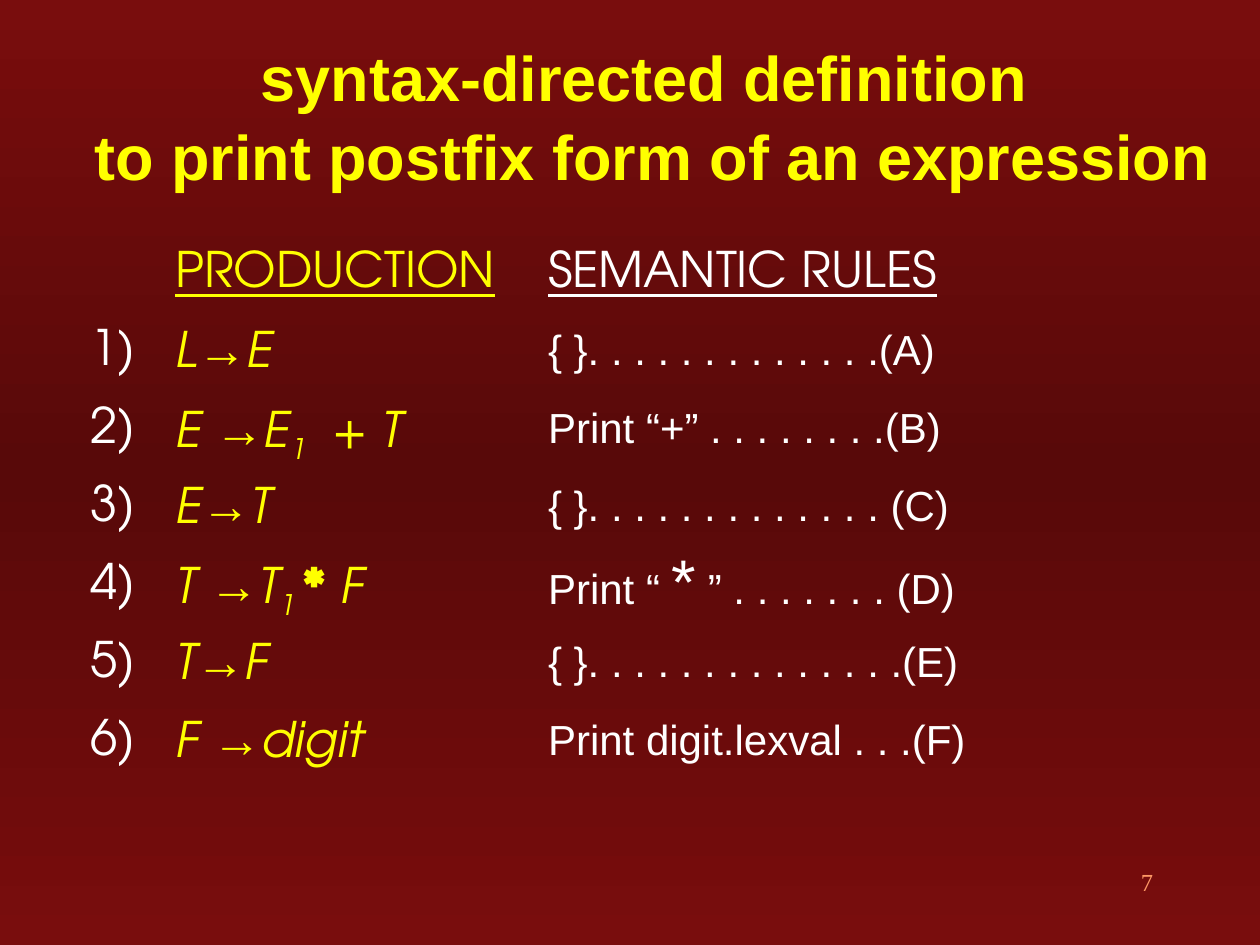
import copy
import lxml.etree
import pptx
import pptx.util
import pptx.dml.color
import pptx.enum.text
import pptx.oxml.ns

Pt = pptx.util.Pt
RGBColor = pptx.dml.color.RGBColor
ALIGN = pptx.enum.text.PP_ALIGN
ANCHOR = pptx.enum.text.MSO_ANCHOR
qn = pptx.oxml.ns.qn

YELLOW = RGBColor(0xFF, 0xFF, 0x00)
WHITE = RGBColor(0xFF, 0xFF, 0xFF)
ORANGE = RGBColor(0xFF, 0x99, 0x66)
RED = RGBColor(0x79, 0x0D, 0x0D)
DARK_RED = RGBColor(0x58, 0x09, 0x09)
SHADOW = "CCCCCC"
DISPLAY, BODY, SERIF = "TeX Gyre Adventor", "Arial", "Times New Roman"
NO_GRID_STYLE = "{2D5ABB26-0587-4C30-8999-92F81FD0307C}"

TITLE_LINES = ["syntax-directed deﬁnition ", "to print postfix form of an expression"]
HEADINGS = [("PRODUCTION", YELLOW), ("SEMANTIC RULES", WHITE)]
PLAIN, SUB, BOLD = {}, {"baseline": -25000}, {"bold": True}
LARGE = {"size": 36}
RULES = [
    ("L", [("E", PLAIN)], [("{ }. . . . . . . . . . . . .(A)", PLAIN)]),
    ("E ", [("E", PLAIN), ("1", SUB), ("  + T", PLAIN)],
     [("Print “+” . . . . . . . .(B)", PLAIN)]),
    ("E", [("T", PLAIN)], [("{ }. . . . . . . . . . . . . (C)", PLAIN)]),
    ("T ", [("T", PLAIN), ("1 ", SUB), ("* ", BOLD), ("F", PLAIN)],
     [("Print “ ", PLAIN), ("*", LARGE), (" ” . . . . . . . (D)", PLAIN)]),
    ("T", [("F", PLAIN)], [("{ }. . . . . . . . . . . . . .(E)", PLAIN)]),
    ("F ", [("digit", PLAIN)], [("Print digit.lexval . . .(F)", PLAIN)]),
]
COLUMN_WIDTHS = [48.24, 213.12, 410.4]
ROW_HEIGHT = 44.57
PAGE_NUMBER = "7"


def add_run(paragraph, text, size, face, color, baseline=None, **flags):
    run = paragraph.add_run()
    run.text = text
    run.font.size = Pt(size)
    run.font.name = face
    run.font.color.rgb = color
    for flag, value in flags.items():
        setattr(run.font, flag, value)
    if baseline is not None:
        run._r.get_or_add_rPr().set("baseline", str(baseline))
    return run


def add_text_shadow(run):
    effects = lxml.etree.Element(qn("a:effectLst"))
    shadow = lxml.etree.SubElement(effects, qn("a:outerShdw"), dist="17961", dir="2700000")
    lxml.etree.SubElement(shadow, qn("a:srgbClr"), val=SHADOW)
    run._r.get_or_add_rPr().find(qn("a:solidFill")).addnext(effects)


def cell_paragraph(cell):
    cell.fill.background()
    cell.vertical_anchor = ANCHOR.MIDDLE
    paragraph = cell.text_frame.paragraphs[0]
    paragraph.line_spacing = 0.75
    paragraph._p.get_or_add_pPr().set("marL", str(Pt(7.2)))
    return paragraph


def paint_background(slide):
    fill = slide.background.fill
    fill.gradient()
    fill.gradient_angle = 90
    first = fill.gradient_stops[0]._gs
    first.addnext(copy.deepcopy(first))
    for stop, position, color in zip(fill.gradient_stops, (0, 0.5, 1), (RED, DARK_RED, RED)):
        stop.position = position
        stop.color.rgb = color


def add_title(slide):
    title = slide.shapes.title
    title.left, title.top, title.width, title.height = Pt(13), Pt(21.6), Pt(720), Pt(87)
    frame = title.text_frame
    frame.margin_left = frame.margin_right = frame.margin_top = frame.margin_bottom = 0
    frame.vertical_anchor = ANCHOR.MIDDLE
    frame.word_wrap = True
    paragraph = frame.paragraphs[0]
    paragraph.alignment = ALIGN.CENTER
    paragraph.line_spacing = 1.05
    for index, line in enumerate(TITLE_LINES):
        if index:
            paragraph.add_line_break()
        add_text_shadow(add_run(paragraph, line, 36, BODY, YELLOW, bold=True))


def add_rules(slide):
    row_count = len(RULES) + 1
    rules = slide.shapes.add_table(
        row_count, len(COLUMN_WIDTHS), Pt(37.44), Pt(136.08),
        Pt(sum(COLUMN_WIDTHS)), Pt(ROW_HEIGHT * row_count)).table
    rules.first_row = rules.horz_banding = False
    rules._tbl.tblPr.find(qn("a:tableStyleId")).text = NO_GRID_STYLE
    for column, width in zip(rules.columns, COLUMN_WIDTHS):
        column.width = Pt(width)
    for row in rules.rows:
        row.height = Pt(ROW_HEIGHT)

    rules.cell(0, 0).fill.background()
    for column, (heading, color) in enumerate(HEADINGS, 1):
        add_run(cell_paragraph(rules.cell(0, column)), heading, 28, DISPLAY, color, underline=True)

    for number, (head, body, action) in enumerate(RULES, 1):
        label, production, semantics = (cell_paragraph(rules.cell(number, c)) for c in range(3))
        add_run(label, f"{number})", 28, DISPLAY, WHITE)
        add_run(production, head, 28, DISPLAY, YELLOW, italic=True)
        add_run(production, "→", 28, BODY, YELLOW, italic=True)
        for text, style in body:
            add_run(production, text, 28, DISPLAY, YELLOW, italic=True, **style)
        for text, style in action:
            add_run(semantics, text, **{"size": 24, "face": BODY, "color": WHITE, **style})


def add_page_number(slide):
    box = slide.shapes.add_textbox(Pt(516.24), Pt(491.76), Pt(149.76), Pt(36))
    box.text_frame.word_wrap = True
    paragraph = box.text_frame.paragraphs[0]
    paragraph.alignment = ALIGN.RIGHT
    add_run(paragraph, PAGE_NUMBER, 14, SERIF, ORANGE)


def main():
    deck = pptx.Presentation()
    deck.slide_width, deck.slide_height = Pt(720), Pt(540)
    slide = deck.slides.add_slide(deck.slide_layouts[5])
    paint_background(slide)
    add_rules(slide)
    add_page_number(slide)
    add_title(slide)
    deck.save("out.pptx")


if __name__ == "__main__":
    main()
